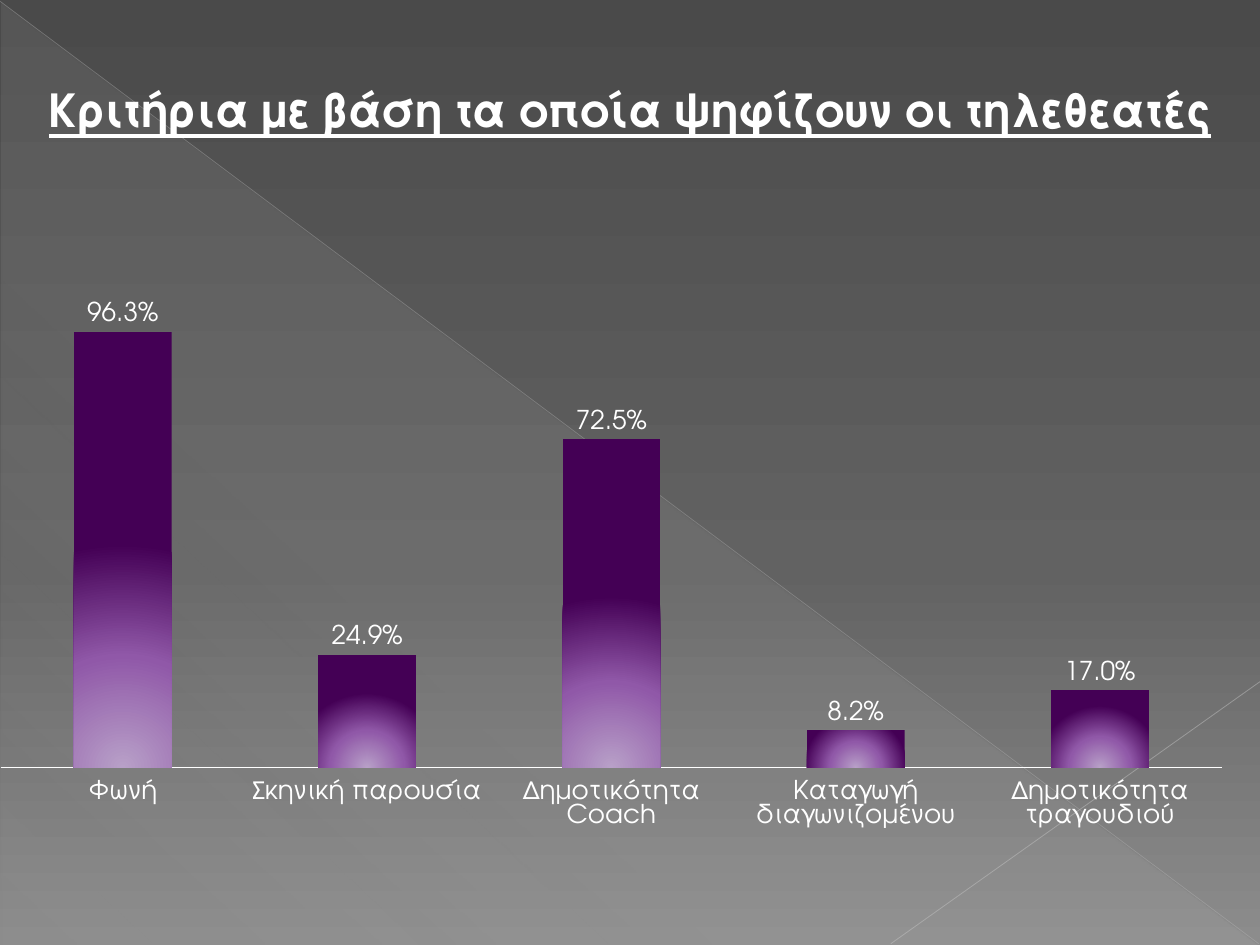
from lxml import etree
from pptx import Presentation
from pptx.chart.data import CategoryChartData
from pptx.dml.color import RGBColor
from pptx.enum.chart import XL_CHART_TYPE as ChartType, XL_LABEL_POSITION as LabelPos
from pptx.enum.chart import XL_TICK_LABEL_POSITION as TickPos, XL_TICK_MARK as Tick
from pptx.enum.shapes import MSO_CONNECTOR as Connector, MSO_SHAPE as Shape
from pptx.enum.text import MSO_ANCHOR as Anchor, PP_ALIGN as Align
from pptx.oxml import parse_xml
from pptx.oxml.ns import nsdecls, qn
from pptx.util import Inches, Pt

FONT = "TeX Gyre Adventor"
WHITE = "FFFFFF"
PERCENT = "###0.0%"
BACKGROUND = [(0, "4A4A4A", 100), (60, "626262", 100), (100, "8C8C8C", 100)]
SHEEN = [(0, "D2D2D2", 10), (70, "D2D2D2", 8), (100, "D2D2D2", 1)]
BAR = [(0, "B8A0C8", 100), (50, "9058A8", 100), (100, "440055", 100)]
BAR_GLOW = '<a:path path="circle"><a:fillToRect l="50000" t="100000" r="50000"/></a:path>'
CRITERIA = {
    "Φωνή": 0.963,
    "Σκηνική παρουσία": 0.249,
    "Δημοτικότητα Coach": 0.725,
    "Καταγωγή διαγωνιζομένου": 0.082,
    "Δημοτικότητα τραγουδιού": 0.17,
}


def rgb(value):
    """Return the colour for a hex string."""
    return RGBColor.from_string(value)


def linear(degrees):
    """Return the XML of a linear gradient direction."""
    return f'<a:lin ang="{degrees * 60000}" scaled="0"/>'


def set_gradient(fill, element, stops, direction):
    """Give a fill inside an element a gradient of (position, colour, opacity) stops."""
    fill.solid()
    fill.fore_color.rgb = rgb(WHITE)
    solid = element.find(".//" + qn("a:solidFill"))
    marks = "".join(
        f'<a:gs pos="{pos * 1000}"><a:srgbClr val="{color}">'
        f'<a:alpha val="{alpha * 1000}"/></a:srgbClr></a:gs>'
        for pos, color, alpha in stops
    )
    gradient = parse_xml(
        f'<a:gradFill {nsdecls("a")} rotWithShape="1"><a:gsLst>{marks}</a:gsLst>{direction}</a:gradFill>'
    )
    solid.getparent().replace(solid, gradient)


def set_font(font, size, color=WHITE):
    """Set the face, size and colour of a font."""
    font.name = FONT
    font.size = Pt(size)
    font.color.rgb = rgb(color)


def add_sheen(slide):
    """Add the faint triangle over the lower left half."""
    sp = slide.shapes.add_shape(
        Shape.RIGHT_TRIANGLE, Inches(0.01), Inches(0.02), Inches(9.98), Inches(7.48)
    )
    sp.shadow.inherit = False
    sp.line.fill.background()
    set_gradient(sp.fill, sp._element, SHEEN, linear(133))


def add_line(slide, start, end, color, width, opacity):
    """Add a translucent straight line."""
    line = slide.shapes.add_connector(Connector.STRAIGHT, *map(Inches, start + end))
    line.line.color.rgb = rgb(color)
    line.line.width = Pt(width)
    tint = line._element.spPr.find(".//" + qn("a:srgbClr"))
    etree.SubElement(tint, qn("a:alpha"), val=str(opacity * 1000))
    etree.SubElement(line._element.spPr, qn("a:effectLst"))


def set_plot_area(chart, x, y, w, h):
    """Fix the inner plot area as fractions of the chart."""
    area = chart._chartSpace.chart.plotArea
    for old in area.findall(qn("c:layout")):
        area.remove(old)
    values = "".join(f'<c:{k} val="{v}"/>' for k, v in zip("xywh", (x, y, w, h)))
    area.insert(0, parse_xml(
        f'<c:layout {nsdecls("c")}><c:manualLayout><c:layoutTarget val="inner"/>'
        f'<c:xMode val="edge"/><c:yMode val="edge"/>{values}</c:manualLayout></c:layout>'
    ))


def add_criteria_chart(slide):
    """Add the column chart of voting criteria."""
    data = CategoryChartData(number_format=PERCENT)
    data.categories = list(CRITERIA)
    data.add_series("Series 1", list(CRITERIA.values()))
    chart = slide.shapes.add_chart(
        ChartType.COLUMN_CLUSTERED, 0, Inches(1.78), Inches(10), Inches(4.8), data
    ).chart
    set_font(chart.font, 10)
    chart.has_legend = chart.has_title = False
    set_plot_area(chart, 0, 0, 0.97, 0.91)

    axis = chart.category_axis
    axis.major_tick_mark = Tick.NONE
    axis.tick_label_position = TickPos.LOW
    axis.format.line.color.rgb = rgb(WHITE)
    set_font(axis.tick_labels.font, 15)
    values = chart.value_axis
    values.minimum_scale, values.maximum_scale = 0, 1.2
    values.has_major_gridlines = False
    values.tick_labels.number_format = PERCENT
    values.tick_labels.number_format_is_linked = False
    values.visible = False

    plot = chart.plots[0]
    plot.gap_width, plot.overlap = 150, -25
    plot.vary_by_categories = False
    series = plot.series[0]
    set_gradient(series.format.fill, series._element, BAR, BAR_GLOW)
    labels = series.data_labels
    labels.show_value = True
    labels.position = LabelPos.OUTSIDE_END
    labels.number_format = PERCENT
    labels.number_format_is_linked = False
    set_font(labels.font, 15)


def add_title(slide, text):
    """Add the centred, underlined title."""
    tf = slide.shapes.add_textbox(0, Inches(0.6), Inches(10), Inches(0.54)).text_frame
    tf.word_wrap = True
    tf.vertical_anchor = Anchor.TOP
    p = tf.paragraphs[0]
    p.text = text
    p.alignment = Align.CENTER
    set_font(p.font, 26)
    p.font.bold = p.font.underline = True


def main():
    """Build the slide and save it."""
    prs = Presentation()
    prs.slide_width, prs.slide_height = Inches(10), Inches(7.5)
    slide = prs.slides.add_slide(prs.slide_layouts[6])
    set_gradient(slide.background.fill, slide._element, BACKGROUND, linear(90))
    add_sheen(slide)
    add_line(slide, (0, 0.01), (9.99, 7.49), "BFBFBF", 0.39, 35)
    add_line(slide, (10, 5.41), (7.07, 7.49), "C6C6C6", 0.47, 45)
    add_criteria_chart(slide)
    add_title(slide, "Κριτήρια με βάση τα οποία ψηφίζουν οι τηλεθεατές")
    prs.save("out.pptx")


if __name__ == "__main__":
    main()
